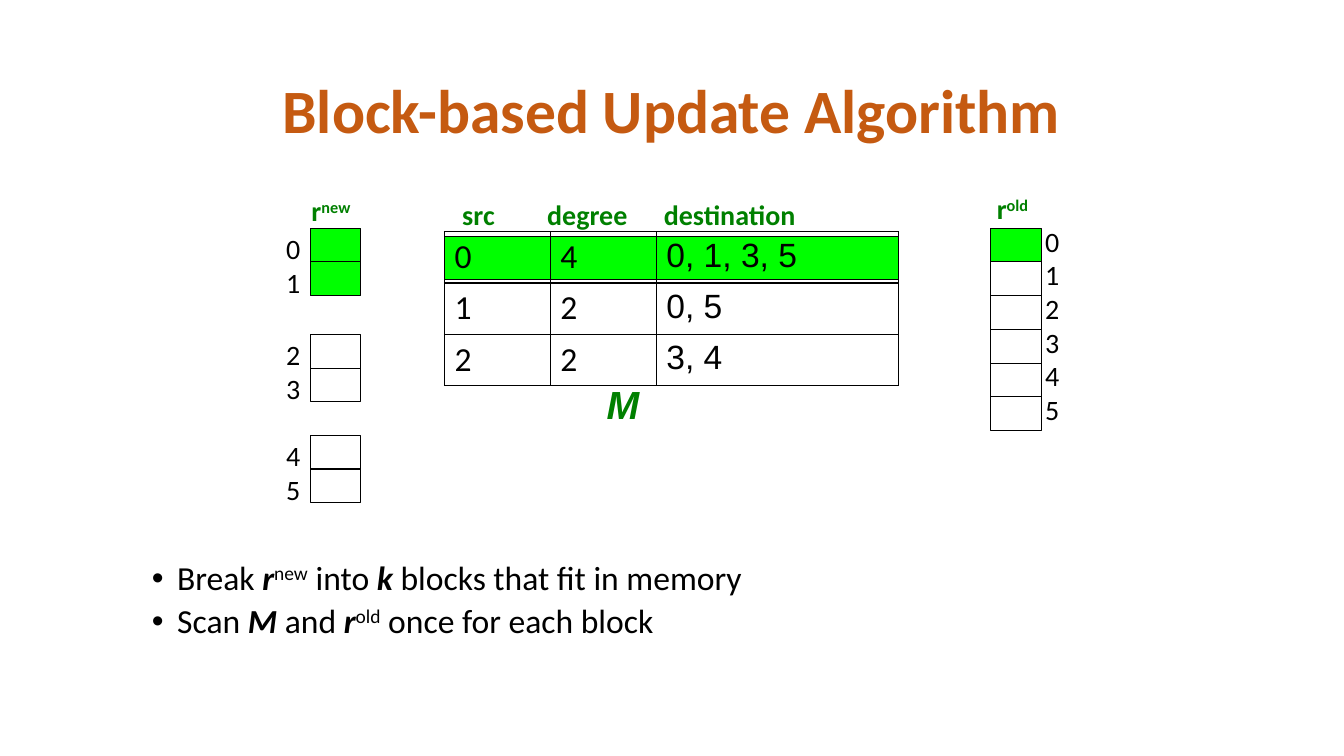
from lxml import etree
from pptx import Presentation
from pptx.dml.color import RGBColor
from pptx.enum.shapes import MSO_SHAPE as SHAPE
from pptx.enum.text import MSO_ANCHOR as ANCHOR, MSO_AUTO_SIZE as AUTO, PP_ALIGN as ALIGN
from pptx.oxml.ns import qn
from pptx.util import Cm, Pt

BLACK, GREEN, LIME, ORANGE = "000000", "008000", "00FF00", "C55A11"
CELL_W, CELL_H = 1.27, 0.85


def color(hex_code):
    return RGBColor.from_string(hex_code)


def add_runs(p, parts, size, fill=BLACK, font="Calibri"):
    """Each part is (text, style); style letters: b bold, i italic, ^ superscript."""
    for text, style in parts:
        r = p.add_run()
        r.text = text
        r.font.name, r.font.size = font, Pt(size)
        r.font.bold, r.font.italic = "b" in style, "i" in style
        r.font.color.rgb = color(fill)
        if "^" in style:
            r.font._element.set("baseline", "30000")


def add_text(s, x, y, w, h, wrap=True):
    tf = s.shapes.add_textbox(Cm(x), Cm(y), Cm(w), Cm(h)).text_frame
    tf.word_wrap = wrap
    return tf


def add_label(s, x, y, w, parts, size=20, fill=GREEN, font="Calibri"):
    tf = add_text(s, x, y, w, 1.11, wrap=False)
    tf.auto_size = AUTO.SHAPE_TO_FIT_TEXT
    add_runs(tf.paragraphs[0], parts, size, fill, font)


def add_box(s, x, y, w, h, fill=None):
    sp = s.shapes.add_shape(SHAPE.RECTANGLE, Cm(x), Cm(y), Cm(w), Cm(h))
    sp.shadow.inherit = False
    if fill:
        sp.fill.solid()
        sp.fill.fore_color.rgb = color(fill)
    else:
        sp.fill.background()
    sp.line.color.rgb = color(BLACK)
    sp.line.width = Pt(0.75)


def add_title(s, x, y, w, h):
    tf = add_text(s, x, y, w, h)
    tf.vertical_anchor = ANCHOR.MIDDLE
    p = tf.paragraphs[0]
    p.alignment, p.line_spacing = ALIGN.CENTER, 0.9
    add_runs(p, [("Block-based Update Algorithm", "b")], 44, ORANGE)


def add_vector_block(s, x, y, indices, active, label_dx, label_dy):
    """A stack of vector cells with their indices beside it."""
    for row, index in enumerate(indices):
        top = y + row * CELL_H
        add_box(s, x, top, CELL_W, CELL_H, LIME if index in active else None)
        add_label(s, x + label_dx, top + label_dy, 0.91, [(str(index), "")], fill=BLACK)


def add_border(cell):
    tcPr = cell._tc.get_or_add_tcPr()
    for side in ("a:lnL", "a:lnR", "a:lnT", "a:lnB"):
        ln = etree.SubElement(tcPr, qn(side), w=str(Pt(1)))
        solid = etree.SubElement(ln, qn("a:solidFill"))
        etree.SubElement(solid, qn("a:srgbClr"), val=BLACK)


def add_matrix(s, x, y):
    """Table of links, with its first row highlighted."""
    widths, row_h = (2.67, 2.67, 6.1), 1.29
    rows = [("0", "4", "0, 1, 3, 5"), ("1", "2", "0, 5"), ("2", "2", "3, 4")]
    add_box(s, x, y + 0.13, sum(widths), 1.07, LIME)
    table = s.shapes.add_table(len(rows), len(widths), Cm(x), Cm(y),
                               Cm(sum(widths)), Cm(row_h * len(rows))).table
    table.first_row = table.horz_banding = False
    for column, width in zip(table.columns, widths):
        column.width = Cm(width)
    for i, row in enumerate(rows):
        table.rows[i].height = Cm(row_h)
        for j, text in enumerate(row):
            cell = table.cell(i, j)
            add_border(cell)
            cell.fill.background()
            add_runs(cell.text_frame.paragraphs[0], [(text, "")], 24,
                     font="Arial" if j == 2 else "Calibri")
    # Headings above and matrix name below
    for dx, w, text in ((0.2, 1.37, "src"), (2.34, 2.64, "degree"), (5.28, 4.04, "destination")):
        add_label(s, x + dx, y - 0.99, w, [(text, "b")])
    add_label(s, x + 3.84, y + 3.63, 1.35, [("M", "bi")], 28, font="Arial")


def add_bullets(s, x, y, w, h):
    items = [
        [("Break ", ""), ("r", "bi"), ("new", "^"), (" into ", ""), ("k", "bi"),
         (" blocks that fit in memory", "")],
        [("Scan ", ""), ("M", "bi"), (" and ", ""), ("r", "bi"), ("old", "^"),
         (" once for each block", "")],
    ]
    tf = add_text(s, x, y, w, h)
    for n, parts in enumerate(items):
        p = tf.add_paragraph() if n else tf.paragraphs[0]
        pPr = p._p.get_or_add_pPr()
        pPr.set("marL", str(Cm(1.905)))
        pPr.set("indent", str(-Cm(0.635)))
        etree.SubElement(pPr, qn("a:buFont"), typeface="Arial")
        etree.SubElement(pPr, qn("a:buChar"), char="•")
        p.line_spacing = 0.9
        if n:
            p.space_before = Pt(5)
        add_runs(p, parts, 24)


def main():
    prs = Presentation()
    prs.slide_width, prs.slide_height = Cm(33.87), Cm(19.05)
    s = prs.slides.add_slide(prs.slide_layouts[6])
    add_title(s, 2.33, 1.01, 29.21, 3.68)

    # New rank vector, split in blocks of two
    for y, indices in ((5.75, (0, 1)), (8.43, (2, 3)), (10.97, (4, 5))):
        add_vector_block(s, 7.82, y, indices, (0, 1), -0.86, -0.04)
    add_label(s, 7.6, 4.75, 1.63, [("r", "b"), ("new", "b^")])

    add_matrix(s, 11.2, 5.84)

    # Old rank vector
    add_vector_block(s, 24.97, 5.75, range(6), (0,), 1.12, -0.23)
    add_label(s, 24.87, 4.7, 1.4, [("r", "b"), ("old", "b^")])

    add_bullets(s, 2.31, 14.02, 29.21, 4.32)
    prs.save("out.pptx")


if __name__ == "__main__":
    main()
